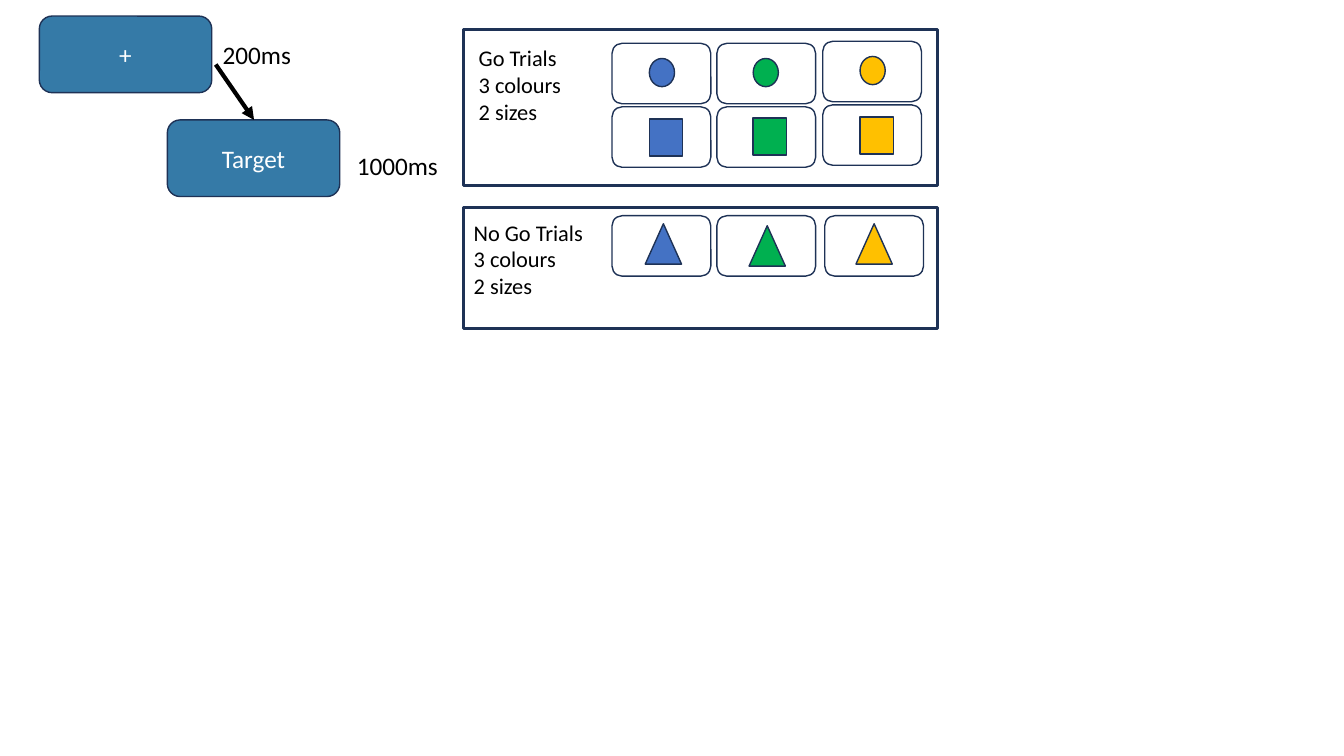
from lxml import etree
from pptx import Presentation
from pptx.dml.color import RGBColor
from pptx.enum.shapes import MSO_CONNECTOR, MSO_SHAPE
from pptx.enum.text import MSO_ANCHOR, PP_ALIGN
from pptx.oxml.ns import qn
from pptx.util import Inches, Pt

RECTANGLE = MSO_SHAPE.RECTANGLE
ROUNDED = MSO_SHAPE.ROUNDED_RECTANGLE
CIRCLE = MSO_SHAPE.OVAL
TRIANGLE = MSO_SHAPE.ISOSCELES_TRIANGLE
STRAIGHT = MSO_CONNECTOR.STRAIGHT
MIDDLE = MSO_ANCHOR.MIDDLE
CENTER = PP_ALIGN.CENTER

NAVY = "1E3256"
STEEL = "357AA7"
WHITE = "FFFFFF"
BLACK = "000000"
STIMULUS_COLOURS = ["4472C4", "00B050", "FFC000"]

presentation = Presentation()
presentation.slide_width = Inches(13.33)
presentation.slide_height = Inches(7.5)
slide = presentation.slides.add_slide(presentation.slide_layouts[6])


def add_outlined(kind, left, top, width, height, fill=None, line_width=1):
    """Add a navy-outlined preset shape, unfilled unless a colour is given."""
    shape = slide.shapes.add_shape(
        kind, Inches(left), Inches(top), Inches(width), Inches(height))
    shape.shadow.inherit = False
    if fill:
        shape.fill.solid()
        shape.fill.fore_color.rgb = RGBColor.from_string(fill)
    else:
        shape.fill.background()
    shape.line.color.rgb = RGBColor.from_string(NAVY)
    shape.line.width = Pt(line_width)
    return shape


def write_lines(shape, lines, size, colour, alignment=None):
    frame = shape.text_frame
    frame.word_wrap = True
    for index, line in enumerate(lines):
        paragraph = frame.add_paragraph() if index else frame.paragraphs[0]
        paragraph.alignment = alignment
        run = paragraph.add_run()
        run.text = line
        run.font.name = "Calibri"
        run.font.size = Pt(size)
        run.font.color.rgb = RGBColor.from_string(colour)


# Trial sequence: fixation, then target
for text, left, top in [("+", 0.39, 0.16), ("Target", 1.66, 1.19)]:
    screen = add_outlined(ROUNDED, left, top, 1.71, 0.76, STEEL)
    screen.text_frame.vertical_anchor = MIDDLE
    write_lines(screen, [text], 18, WHITE, CENTER)

arrow = slide.shapes.add_connector(
    STRAIGHT, Inches(2.14), Inches(0.64), Inches(2.52), Inches(1.19))
arrow.line.color.rgb = RGBColor.from_string(BLACK)
arrow.line.width = Pt(3)
etree.SubElement(arrow.line._get_or_add_ln(), qn("a:tailEnd"), type="triangle")
etree.SubElement(arrow._element.spPr, qn("a:effectLst"))

# Stimulus cards: symbol, symbol size, card places, symbol places
stimulus_rows = [
    (CIRCLE, 0.25, 0.28,
     [(6.07, 0.43), (7.11, 0.43), (8.16, 0.41)],
     [(6.44, 0.58), (7.47, 0.58), (8.53, 0.56)]),
    (RECTANGLE, 0.33, 0.37,
     [(6.07, 1.06), (7.11, 1.06), (8.16, 1.04)],
     [(6.44, 1.18), (7.47, 1.17), (8.53, 1.16)]),
    (TRIANGLE, 0.36, 0.4,
     [(6.07, 2.14), (7.11, 2.14), (8.18, 2.14)],
     [(6.4, 2.22), (7.43, 2.24), (8.49, 2.22)]),
]
for symbol, width, height, cards, symbols in stimulus_rows:
    for card, place, colour in zip(cards, symbols, STIMULUS_COLOURS):
        add_outlined(ROUNDED, *card, 0.98, 0.6)
        add_outlined(symbol, *place, width, height, colour)

# Frames around the two trial types
for top, height in [(0.29, 1.55), (2.06, 1.2)]:
    add_outlined(RECTANGLE, 4.6, top, 4.7, height, line_width=2.25)

# Durations and trial descriptions
labels = [
    (2.11, 0.34, 1.71, 0.4, 18, ["200ms"]),
    (3.44, 1.44, 1.71, 0.4, 18, ["1000ms"]),
    (4.65, 0.39, 1.37, 0.91, 16, ["Go Trials", "3 colours", "2 sizes"]),
    (4.6, 2.12, 2.07, 0.91, 16, ["No Go Trials", "3 colours", "2 sizes"]),
]
for left, top, width, height, size, lines in labels:
    label = slide.shapes.add_textbox(
        Inches(left), Inches(top), Inches(width), Inches(height))
    write_lines(label, lines, size, BLACK)

presentation.save("out.pptx")
